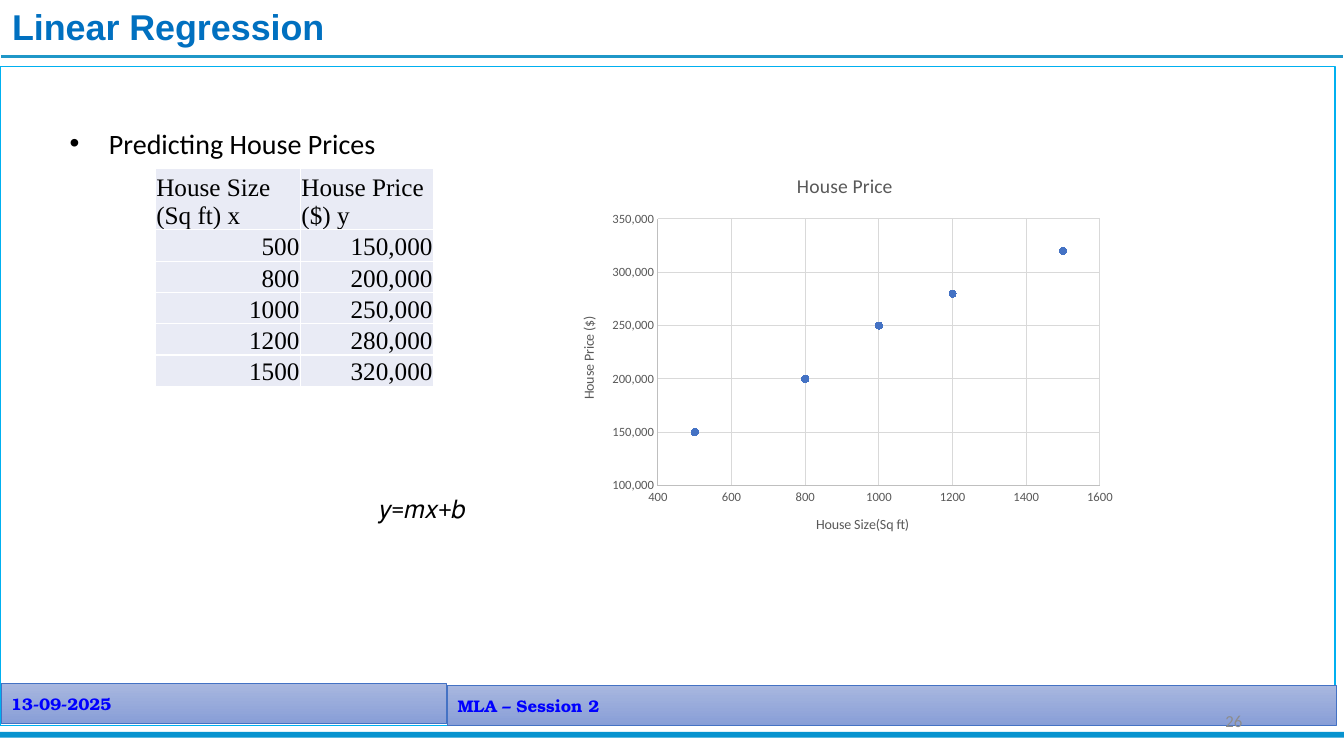
from lxml import etree
from pptx import Presentation
from pptx.chart.data import XyChartData
from pptx.dml.color import RGBColor
from pptx.enum.chart import XL_CHART_TYPE, XL_MARKER_STYLE, XL_TICK_MARK
from pptx.enum.shapes import MSO_CONNECTOR, MSO_SHAPE
from pptx.enum.text import MSO_ANCHOR, MSO_AUTO_SIZE, PP_ALIGN
from pptx.oxml import parse_xml
from pptx.oxml.ns import nsdecls, qn
from pptx.util import Pt

PX = 9144
RECT, STRAIGHT = MSO_SHAPE.RECTANGLE, MSO_CONNECTOR.STRAIGHT
SCATTER, CIRCLE = XL_CHART_TYPE.XY_SCATTER, XL_MARKER_STYLE.CIRCLE
NO_TICK, GROW = XL_TICK_MARK.NONE, MSO_AUTO_SIZE.SHAPE_TO_FIT_TEXT
TOP, MIDDLE, BOTTOM = MSO_ANCHOR.TOP, MSO_ANCHOR.MIDDLE, MSO_ANCHOR.BOTTOM
LEFT, RIGHT, JUSTIFY = PP_ALIGN.LEFT, PP_ALIGN.RIGHT, PP_ALIGN.JUSTIFY

COLORS = {
    "title": "0070C0", "rule": "1F97C8", "bar": "0793CF", "frame": "00B0F0",
    "text": "000000", "footer": "0000FF", "footer_top": "A8B7DF",
    "footer_bottom": "889ED7", "accent": "4472C4", "number": "8C8C8C",
    "cell": "E9EBF5", "border": "FFFFFF", "label": "595959",
    "axis": "BFBFBF", "grid": "D9D9D9",
}
HEADINGS = ("House Size (Sq ft) x", "House Price ($) y")
HOUSES = ((500, 150000), (800, 200000), (1000, 250000), (1200, 280000), (1500, 320000))


def color(name):
    """Return the named colour."""
    return RGBColor.from_string(COLORS[name])


def box(*lengths):
    """Turn pixel lengths into EMU."""
    return [length * PX for length in lengths]


def set_font(font, family, size, name, bold=False):
    """Format a font."""
    font.name, font.size, font.bold = family, Pt(size), bold
    font.color.rgb = color(name)


def set_line(line, name, width):
    """Colour a line and set its width in points."""
    line.color.rgb = color(name)
    line.width = Pt(width)


def fill_placeholder(holder, place, text):
    """Place a placeholder without insets and return its paragraph."""
    holder.left, holder.top, holder.width, holder.height = box(*place)
    frame = holder.text_frame
    frame.text = text
    frame.margin_left = frame.margin_right = frame.margin_top = frame.margin_bottom = 0
    frame.vertical_anchor, frame.auto_size = TOP, GROW
    paragraph = frame.paragraphs[0]
    paragraph.space_before = Pt(0)
    return paragraph


def add_title(slide):
    """Fill the title placeholder."""
    heading = fill_placeholder(slide.shapes.title, (12, 5, 781, 43), "Linear Regression")
    heading.alignment = LEFT
    set_font(heading.font, "Arial", 25.6, "title", True)


def add_topic(slide):
    """Fill the body placeholder with the bulleted topic."""
    topic = fill_placeholder(slide.placeholders[1], (19, 75, 1292, 71), "Predicting House Prices")
    topic.level, topic.alignment, topic.line_spacing = 1, JUSTIFY, 2.5
    props = topic._p.get_or_add_pPr()
    props.set("marL", str(89 * PX))
    props.set("indent", str(-39 * PX))
    etree.SubElement(props, qn("a:buFont")).set("typeface", "Arial")
    etree.SubElement(props, qn("a:buChar")).set("char", "•")
    set_font(topic.font, "Calibri", 20, "text")


def add_rule(slide):
    """Draw the line under the title."""
    rule = slide.shapes.add_connector(STRAIGHT, *box(1, 56, 1332, 56))
    set_line(rule.line, "rule", 2.25)
    etree.SubElement(rule._element.spPr, qn("a:effectLst"))


def add_rect(slide, place):
    """Add a rectangle without shadow."""
    rect = slide.shapes.add_shape(RECT, *box(*place))
    rect.shadow.inherit = False
    return rect


def add_footer(slide, place, text):
    """Add a gradient footer cell."""
    footer = add_rect(slide, place)
    footer.fill.gradient()
    footer.fill.gradient_angle = 270
    for stop, name in zip(footer.fill.gradient_stops, ("footer_top", "footer_bottom")):
        stop.color.rgb = color(name)
    set_line(footer.line, "accent", 0.5)
    footer.text_frame.text = text
    footer.text_frame.vertical_anchor = MIDDLE
    label = footer.text_frame.paragraphs[0]
    label.alignment = LEFT
    set_font(label.font, "TeX Gyre Bonum", 12, "footer", True)


def add_text(slide, place, text, size, name, alignment, anchor=TOP):
    """Add a wrapped text box and return its paragraph."""
    frame = slide.shapes.add_textbox(*box(*place)).text_frame
    frame.word_wrap, frame.vertical_anchor = True, anchor
    frame.text = text
    paragraph = frame.paragraphs[0]
    paragraph.alignment = alignment
    set_font(paragraph.font, "Calibri", size, name)
    return paragraph


def fill_cell(cell, text, alignment):
    """Write and format one table cell."""
    cell.text = text
    cell.margin_left = cell.margin_right = cell.margin_top = PX
    cell.margin_bottom = 0
    cell.vertical_anchor = BOTTOM
    props = cell._tc.get_or_add_tcPr()
    for side in "LRTB":
        props.append(parse_xml(
            f'<a:ln{side} {nsdecls("a")} w="12700"><a:solidFill>'
            f'<a:srgbClr val="{COLORS["border"]}"/></a:solidFill></a:ln{side}>'))
    cell.fill.solid()
    cell.fill.fore_color.rgb = color("cell")
    paragraph = cell.text_frame.paragraphs[0]
    paragraph.alignment = alignment
    set_font(paragraph.font, "Times New Roman", 18, "text")


def add_house_table(slide):
    """Add the table of house sizes and prices."""
    rows = [HEADINGS] + [(str(size), f"{price:,}") for size, price in HOUSES]
    table = slide.shapes.add_table(len(rows), 2, *box(154, 167, 276, 195)).table
    for column, width in zip(table.columns, box(144, 132)):
        column.width = width
    for r, values in enumerate(rows):
        table.rows[r].height = (28 if r else 55) * PX
        for c, text in enumerate(values):
            fill_cell(table.cell(r, c), text, RIGHT if r else LEFT)


def set_title(owner, text, size):
    """Title a chart or an axis."""
    owner.has_title = True
    frame = (owner.chart_title if hasattr(owner, "chart_title") else owner.axis_title).text_frame
    frame.text = text
    set_font(frame.paragraphs[0].font, "Calibri", size, "label")


def format_axis(axis, title, low, high, step, number_format):
    """Scale, title and colour an axis."""
    axis.minimum_scale, axis.maximum_scale, axis.major_unit = low, high, step
    axis.major_tick_mark = axis.minor_tick_mark = NO_TICK
    axis.has_major_gridlines = True
    set_line(axis.major_gridlines.format.line, "grid", 0.75)
    set_line(axis.format.line, "axis", 0.75)
    axis.tick_labels.number_format = number_format
    axis.tick_labels.number_format_is_linked = False
    set_font(axis.tick_labels.font, "Calibri", 9, "label")
    set_title(axis, title, 10)


def set_plot_layout(chart, **fractions):
    """Fix the inner plot area as fractions of the chart."""
    area = chart._chartSpace.chart.plotArea
    for old in area.findall(qn("c:layout")):
        area.remove(old)
    values = "".join(f'<c:{key} val="{value}"/>' for key, value in fractions.items())
    area.insert(0, parse_xml(
        f'<c:layout {nsdecls("c")}><c:manualLayout><c:layoutTarget val="inner"/>'
        f'<c:xMode val="edge"/><c:yMode val="edge"/>{values}</c:manualLayout></c:layout>'))


def add_price_chart(slide):
    """Add the scatter chart of price against size."""
    data = XyChartData()
    prices = data.add_series("House Price")
    for size, price in HOUSES:
        prices.add_data_point(size, price)
    chart = slide.shapes.add_chart(SCATTER, *box(557, 154, 562, 395), data).chart
    set_font(chart.font, "Calibri", 10, "text")
    chart.has_legend = False
    set_title(chart, "House Price", 14)
    format_axis(chart.category_axis, "House Size(Sq ft)", 400, 1600, 200, "General")
    format_axis(chart.value_axis, "House Price ($)", 100000, 350000, 50000, "#,##0")
    set_plot_layout(chart, x=0.17, y=0.16, w=0.78, h=0.67)
    chart.plots[0].vary_by_categories = False
    points = chart.plots[0].series[0]
    points.smooth = False
    points.format.line.fill.background()
    points.marker.style, points.marker.size = CIRCLE, 5
    points.marker.format.fill.solid()
    points.marker.format.fill.fore_color.rgb = color("accent")
    set_line(points.marker.format.line, "accent", 0.75)


def main():
    """Build and save the slide."""
    deck = Presentation()
    deck.slide_width, deck.slide_height = box(1333, 750)
    slide = deck.slides.add_slide(deck.slide_layouts[1])
    add_title(slide)
    add_topic(slide)
    add_rule(slide)
    bar = add_rect(slide, (0, 726, 1333, 6))
    bar.fill.solid()
    bar.fill.fore_color.rgb = color("bar")
    bar.line.fill.background()
    frame = add_rect(slide, (0, 66, 1324, 654))
    frame.fill.background()
    set_line(frame.line, "frame", 1)
    add_footer(slide, (1, 678, 442, 40), "13-09-2025")
    add_footer(slide, (444, 680, 881, 40), "MLA – Session 2")
    add_text(slide, (942, 695, 300, 40), "26", 12, "number", RIGHT, MIDDLE)
    add_house_table(slide)
    add_price_chart(slide)
    equation = add_text(slide, (317, 439, 672, 73), "𝑦=𝑚𝑥+𝑏", 18, "text", JUSTIFY)
    equation.line_spacing = 2.5
    equation._p.get_or_add_pPr().set("marL", str(50 * PX))
    deck.save("out.pptx")


if __name__ == "__main__":
    main()
